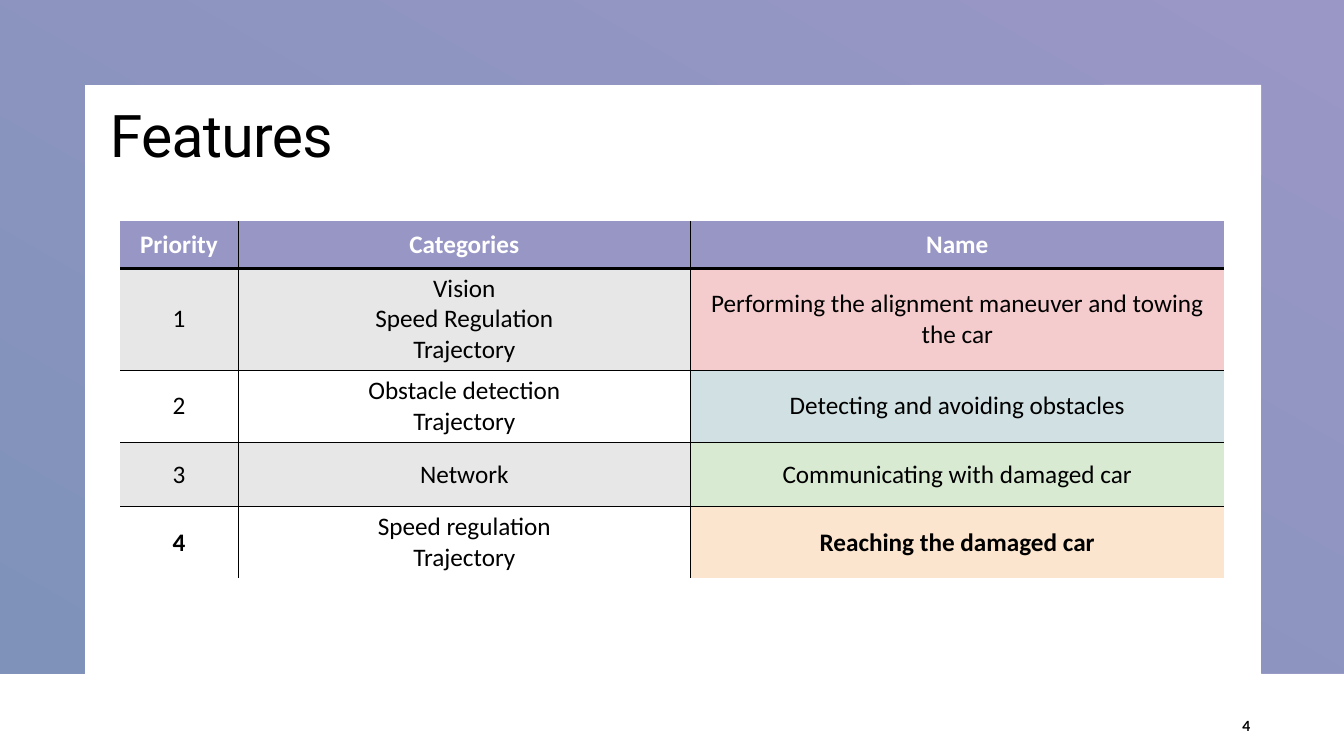
"""Build the Features slide: a gradient frame, a title and a priority table."""
import dataclasses
import typing

import lxml.etree
import pptx
import pptx.dml.color
import pptx.enum.text
import pptx.oxml.ns
import pptx.util

SLIDE_WIDTH = pptx.util.Inches(13.33)
SLIDE_HEIGHT = pptx.util.Inches(7.5)
COLOURS = {
    "lilac": "9A96C6", "steel": "7F93BA", "header": "9896C5",
    "black": "000000", "white": "FFFFFF", "grey": "E7E7E7",
    "pink": "F5CCCD", "blue": "D1E0E3", "green": "D9EAD3", "peach": "FCE5CE",
}
ALIGN = pptx.enum.text.PP_ALIGN
ANCHOR = pptx.enum.text.MSO_ANCHOR
COLUMN_SHARES = (8.78, 33.68, 39.68)
THIN, THICK = 0.5, 2.25
CELL_FORMAT = {"name": "Calibri", "size": pptx.util.Pt(18)}


@dataclasses.dataclass(frozen=True)
class Area:
    """A rectangle in percent of the slide's width and height."""
    left: float
    top: float
    width: float
    height: float

    def lengths(self) -> tuple[int, int, int, int]:
        """Return left, top, width and height as slide lengths."""
        return across(self.left), down(self.top), across(self.width), down(self.height)


@dataclasses.dataclass(frozen=True)
class Feature:
    """One table row, with its height in percent of the slide."""
    height: float
    texts: tuple[str, str, str]
    fill: str
    name_fill: str
    ink: str = "black"
    bold: tuple[bool, bool, bool] = (False, False, False)


FEATURES = (
    Feature(6.27, ("Priority", "Categories", "Name"), "header", "header", "white",
            (True, True, True)),
    Feature(12.27, ("1", "Vision\nSpeed Regulation\nTrajectory",
                    "Performing the alignment maneuver and towing the car"), "grey", "pink"),
    Feature(8.67, ("2", "Obstacle detection\nTrajectory",
                   "Detecting and avoiding obstacles"), "white", "blue"),
    Feature(8.53, ("3", "Network", "Communicating with damaged car"), "grey", "green"),
    Feature(8.67, ("4", "Speed regulation\nTrajectory", "Reaching the damaged car"),
            "white", "peach", bold=(True, False, True)),
)


def across(share: float) -> int:
    """Return a percentage of the slide's width."""
    return round(SLIDE_WIDTH * share / 100)


def down(share: float) -> int:
    """Return a percentage of the slide's height."""
    return round(SLIDE_HEIGHT * share / 100)


def colour(name: str) -> pptx.dml.color.RGBColor:
    """Return a named colour."""
    return pptx.dml.color.RGBColor.from_string(COLOURS[name])


def apply(target: typing.Any, values: dict[str, typing.Any]) -> None:
    """Set every attribute in a dict of format values."""
    for key, value in values.items():
        setattr(target, key, value)


def write(frame: typing.Any, text: str, ink: str, font: dict[str, typing.Any],
          layout: dict[str, typing.Any]) -> None:
    """Fill a text frame, one paragraph per line of text."""
    for index, line in enumerate(text.split("\n")):
        para = frame.add_paragraph() if index else frame.paragraphs[0]
        apply(para, layout)
        span = para.add_run()
        span.text = line
        apply(span.font, font)
        span.font.color.rgb = colour(ink)


def draw_frame(page: typing.Any) -> None:
    """Draw the gradient frame behind everything else."""
    corners = ((100, 0), (100, 89.07), (93.85, 89.07), (93.85, 11.2),
               (6.3, 11.2), (6.3, 89.07), (0, 89.07))
    builder = page.shapes.build_freeform(0, 0)
    builder.add_line_segments([(across(x), down(y)) for x, y in corners], close=True)
    frame = builder.convert_to_shape()
    frame.shadow.inherit = False
    frame.line.fill.background()
    frame.fill.gradient()
    frame.fill.gradient_angle = 240
    for stop, position, name in zip(frame.fill.gradient_stops, (0, 1), ("lilac", "steel")):
        stop.position = position
        stop.color.rgb = colour(name)
    page.shapes._spTree.insert(2, frame._element)


def draw_title(page: typing.Any) -> None:
    """Place and format the title."""
    title = page.shapes.title
    apply(title, dict(zip(("left", "top", "width", "height"),
                          Area(7.43, 13.07, 75.02, 19.6).lengths())))
    title.text_frame.vertical_anchor = ANCHOR.TOP
    write(title.text_frame, "Features", "black",
          {"name": "Roboto", "size": pptx.util.Pt(42)},
          {"alignment": ALIGN.LEFT, "line_spacing": 0.95})
    span = title.text_frame.paragraphs[0].runs[0]
    span._r.get_or_add_rPr().set("spc", "-50")


def draw_borders(cell: typing.Any, widths: dict[str, float]) -> None:
    """Draw the inner cell borders and hide those of zero width."""
    properties = cell._tc.get_or_add_tcPr()
    for side, width in widths.items():
        line = lxml.etree.SubElement(properties, pptx.oxml.ns.qn(f"a:ln{side}"),
                                     w=str(pptx.util.Pt(width)))
        kind = "a:solidFill" if width else "a:noFill"
        paint = lxml.etree.SubElement(line, pptx.oxml.ns.qn(kind))
        if width:
            lxml.etree.SubElement(paint, pptx.oxml.ns.qn("a:srgbClr"), val=COLOURS["black"])


def draw_table(page: typing.Any) -> None:
    """Draw the table of features."""
    area = Area(8.93, 29.2, sum(COLUMN_SHARES), sum(item.height for item in FEATURES))
    table = page.shapes.add_table(len(FEATURES), len(COLUMN_SHARES), *area.lengths()).table
    for column, share in zip(table.columns, COLUMN_SHARES):
        column.width = across(share)
    edges = (0, THICK, *[THIN] * (len(FEATURES) - 2), 0)
    walls = (0, *[THIN] * (len(COLUMN_SHARES) - 1), 0)
    for row, feature in enumerate(FEATURES):
        table.rows[row].height = down(feature.height)
        fills = (feature.fill, feature.fill, feature.name_fill)
        for column, (text, fill, bold) in enumerate(zip(feature.texts, fills, feature.bold)):
            cell = table.cell(row, column)
            draw_borders(cell, {"L": walls[column], "R": walls[column + 1],
                                "T": edges[row], "B": edges[row + 1]})
            cell.fill.solid()
            cell.fill.fore_color.rgb = colour(fill)
            cell.vertical_anchor = ANCHOR.MIDDLE
            write(cell.text_frame, text, feature.ink, {**CELL_FORMAT, "bold": bold},
                  {"alignment": ALIGN.CENTER})


def draw_page_number(page: typing.Any) -> None:
    """Write the page number at the lower right."""
    box = page.shapes.add_textbox(*Area(89.42, 93.33, 4.35, 5.33).lengths())
    apply(box.text_frame, {"word_wrap": True, "vertical_anchor": ANCHOR.MIDDLE})
    write(box.text_frame, "4", "black",
          {"name": "Lato", "size": pptx.util.Pt(10), "bold": True},
          {"alignment": ALIGN.RIGHT})


def main() -> None:
    """Build and save the deck."""
    deck = pptx.Presentation()
    apply(deck, {"slide_width": SLIDE_WIDTH, "slide_height": SLIDE_HEIGHT})
    page = deck.slides.add_slide(deck.slide_layouts[5])
    draw_frame(page)
    draw_title(page)
    draw_table(page)
    draw_page_number(page)
    deck.save("out.pptx")


if __name__ == "__main__":
    main()
